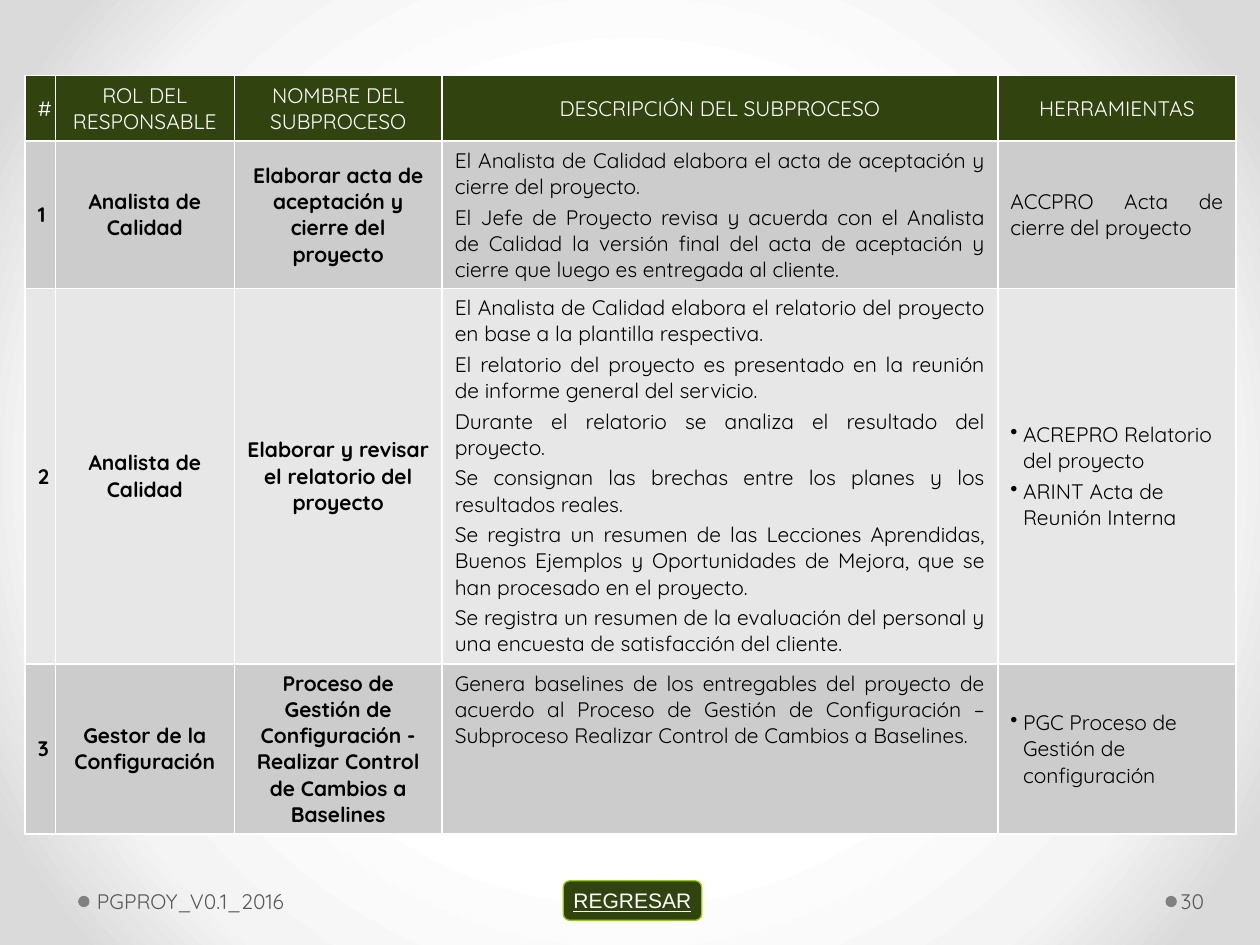
from pptx import Presentation
from pptx.dml.color import RGBColor
from pptx.enum.shapes import MSO_SHAPE
from pptx.enum.text import MSO_ANCHOR, PP_ALIGN
from pptx.oxml import parse_xml
from pptx.oxml.ns import nsdecls, qn
from pptx.util import Inches, Pt

LEFT, CENTER, JUSTIFY = PP_ALIGN.LEFT, PP_ALIGN.CENTER, PP_ALIGN.JUSTIFY
TOP, MIDDLE = MSO_ANCHOR.TOP, MSO_ANCHOR.MIDDLE
OVAL, BUTTON = MSO_SHAPE.OVAL, MSO_SHAPE.FLOWCHART_ALTERNATE_PROCESS

WHITE = RGBColor(0xFF, 0xFF, 0xFF)
BLACK = RGBColor(0, 0, 0)
GREEN = RGBColor(0x31, 0x44, 0x10)
LIME = RGBColor(0x99, 0xCC, 0x00)
GRAY = RGBColor(0x80, 0x80, 0x80)
FOOTER = RGBColor(0x59, 0x59, 0x59)
BANDS = (RGBColor(0xCC, 0xCC, 0xCC), RGBColor(0xE7, 0xE7, 0xE7))
BACKDROP = ((50, WHITE), (76, RGBColor(0xF4, 0xF4, 0xF4)), (92, RGBColor(0xDA, 0xDA, 0xDA)))

COLUMNS = (0.24, 1.42, 1.65, 4.41, 1.89)
ROWS = (0.52, 1.17, 2.98, 1.35)
HEADERS = ("#", "ROL DEL RESPONSABLE", "NOMBRE DEL SUBPROCESO",
           "DESCRIPCIÓN DEL SUBPROCESO", "HERRAMIENTAS")
# Responsible role, subprocess, description paragraphs, tools
STEPS = (
    ("Analista de Calidad", "Elaborar acta de aceptación y cierre del proyecto",
     ("El Analista de Calidad elabora el acta de aceptación y cierre del proyecto.",
      "El Jefe de Proyecto revisa y acuerda con el Analista de Calidad la versión final "
      "del acta de aceptación y cierre que luego es entregada al cliente."),
     ("ACCPRO Acta de cierre del proyecto",)),
    ("Analista de Calidad", "Elaborar y revisar el relatorio del proyecto",
     ("El Analista de Calidad elabora el relatorio del proyecto en base a la plantilla "
      "respectiva.",
      "El relatorio del proyecto es presentado en la reunión de informe general del servicio.",
      "Durante el relatorio se analiza el resultado del proyecto.",
      "Se consignan las brechas entre los planes y los resultados reales.",
      "Se registra un resumen de las Lecciones Aprendidas, Buenos Ejemplos y Oportunidades "
      "de Mejora, que se han procesado en el proyecto.",
      "Se registra un resumen de la evaluación del personal y una encuesta de satisfacción "
      "del cliente."),
     ("ACREPRO Relatorio del proyecto", "ARINT Acta de Reunión Interna")),
    ("Gestor de la Configuración",
     "Proceso de Gestión de Configuración - Realizar Control de Cambios a Baselines",
     ("Genera baselines de los entregables del proyecto de acuerdo al Proceso de Gestión de "
      "Configuración – Subproceso Realizar Control de Cambios a Baselines.",),
     ("PGC Proceso de Gestión de configuración",)),
)


class Deck:
    """Holds the text style and the current slide; boxes are shares of the slide's size."""
    font, size = "Quicksand", Pt(12)

    def __init__(self, width, height):
        self.prs = Presentation()
        self.prs.slide_width, self.prs.slide_height = Inches(width), Inches(height)
        self.s = self.prs.slides.add_slide(self.prs.slide_layouts[6])

    def box(self, x, y, w, h):
        width, height = self.prs.slide_width, self.prs.slide_height
        return int(x * width), int(y * height), int(w * width), int(h * height)

    def background(self, stops):
        self.s.background.fill.gradient()
        old = self.s.element.find(".//" + qn("a:gradFill"))
        marks = "".join(f'<a:gs pos="{pos * 1000}"><a:srgbClr val="{color}"/></a:gs>'
                        for pos, color in stops)
        old.getparent().replace(old, parse_xml(
            f'<a:gradFill {nsdecls("a")} rotWithShape="1"><a:gsLst>{marks}</a:gsLst>'
            '<a:path path="circle"><a:fillToRect l="50000" t="50000" r="50000" b="50000"/>'
            '</a:path></a:gradFill>'))

    def add_text(self, p, text, color, align=LEFT, bold=False, font=None, underline=None):
        p.alignment = align
        r = p.add_run()
        r.text = text
        r.font.name, r.font.size = font or self.font, self.size
        r.font.bold, r.font.underline = bold, underline
        r.font.color.rgb = color

    def bullet(self, p):
        pPr = p._p.get_or_add_pPr()
        pPr.set("marL", str(Inches(0.1)))
        pPr.set("indent", str(-Inches(0.1)))
        pPr.append(parse_xml(f'<a:buChar {nsdecls("a")} char="•"/>'))

    def text(self, box, text, margins):
        tf = self.s.shapes.add_textbox(*self.box(*box)).text_frame
        tf.word_wrap, tf.vertical_anchor = True, MIDDLE
        tf.margin_left, tf.margin_right = (Inches(m) for m in margins)
        self.add_text(tf.paragraphs[0], text, FOOTER)

    def shape(self, kind, box, fill, line=None):
        sp = self.s.shapes.add_shape(kind, *self.box(*box))
        sp.shadow.inherit = False
        sp.fill.solid()
        sp.fill.fore_color.rgb = fill
        if line is None:
            sp.line.fill.background()
        else:
            sp.line.color.rgb, sp.line.width = line, Pt(0.75)
        return sp

    def button(self, box, text):
        tf = self.shape(BUTTON, box, GREEN, LIME).text_frame
        tf.word_wrap, tf.vertical_anchor = False, MIDDLE
        self.add_text(tf.paragraphs[0], text, WHITE, CENTER, font="Arial", underline=True)

    def table(self, x, y, columns, rows):
        frame = self.s.shapes.add_table(len(rows), len(columns), *self.box(x, y, 0.96, 0.8))
        table = frame.table
        for column, width in zip(table.columns, columns):
            column.width = Inches(width)
        for row, height in zip(table.rows, rows):
            row.height = Inches(height)
        return table

    def cell(self, cell, texts, fill, color=BLACK, align=CENTER, anchor=MIDDLE,
             bold=False, before=2.4, bulleted=False):
        tcPr = cell._tc.get_or_add_tcPr()
        for side in "LRTB":
            tcPr.append(parse_xml(
                f'<a:ln{side} {nsdecls("a")} w="{Pt(1)}"><a:solidFill>'
                f'<a:srgbClr val="{WHITE}"/></a:solidFill></a:ln{side}>'))
        cell.fill.solid()
        cell.fill.fore_color.rgb = fill
        cell.vertical_anchor = anchor
        tf = cell.text_frame
        for i, text in enumerate(texts):
            p = tf.add_paragraph() if i else tf.paragraphs[0]
            p.space_before = Pt(before)
            if bulleted:
                self.bullet(p)
            self.add_text(p, text, color, align, bold)


def main():
    deck = Deck(10, 7.5)
    deck.background(BACKDROP)
    for x in (0.925, 0.062):
        deck.shape(OVAL, (x, 0.948, 0.009, 0.012), GRAY)
    deck.text((0.934, 0.927, 0.061, 0.053), "30", (0.03, 0.05))

    table = deck.table(0.02, 0.08, COLUMNS, ROWS)
    for col, header in enumerate(HEADERS):
        deck.cell(table.cell(0, col), [header], GREEN, WHITE, before=0)
    for row, (role, name, description, tools) in enumerate(STEPS, 1):
        fill = BANDS[(row - 1) % 2]
        for col, label in enumerate((str(row), role, name)):
            deck.cell(table.cell(row, col), [label], fill, bold=True)
        deck.cell(table.cell(row, 3), description, fill, align=JUSTIFY, anchor=TOP)
        bulleted = row > 1
        deck.cell(table.cell(row, 4), tools, fill, align=LEFT if bulleted else JUSTIFY,
                  bulleted=bulleted)

    deck.text((0.072, 0.927, 0.396, 0.053), "PGPROY_V0.1_2016", (0.05, 0.1))
    deck.button((0.447, 0.932, 0.11, 0.042), "REGRESAR")
    deck.prs.save("out.pptx")


if __name__ == "__main__":
    main()
